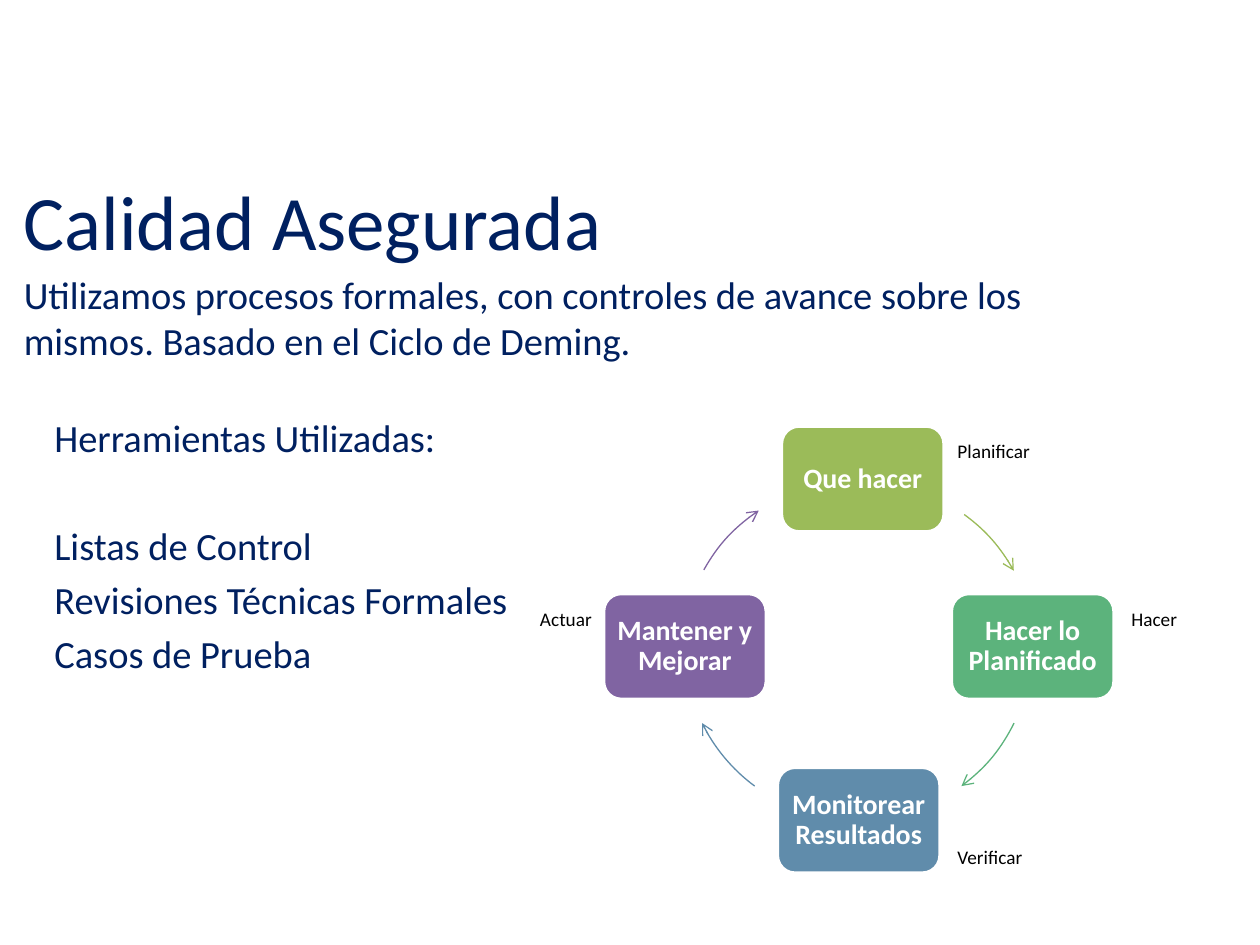
from dataclasses import dataclass

from lxml.etree import SubElement
from pptx import Presentation
from pptx.dml.color import RGBColor
from pptx.enum.shapes import MSO_SHAPE as Preset
from pptx.enum.text import MSO_ANCHOR as Anchor, PP_ALIGN as Align
from pptx.oxml.ns import qn
from pptx.util import Pt

NAVY, BLACK, WHITE = "002060", "000000", "FFFFFF"
NODE_WIDTH, NODE_HEIGHT = 93, 60.5
CIRCLE_SIZE = 198.7
LABEL_WIDTH, LABEL_HEIGHT = 76, 21


@dataclass
class Node:
    text: str
    left: float
    top: float
    color: str


@dataclass
class CycleArrow:
    left: float  # corner of the full circle the arc lies on
    top: float
    start: float  # degrees, clockwise from the right
    end: float
    color: str


@dataclass
class Label:
    text: str
    left: float
    top: float
    align: Align = Align.LEFT


def hex_color(value: str) -> RGBColor:
    return RGBColor.from_string(value)


def format_paragraph(paragraph, size: float, color: str, bold: bool = False) -> None:
    for run in paragraph.runs:
        font = run.font
        font.name, font.size, font.bold = "Calibri", Pt(size), bold
        font.color.rgb = hex_color(color)


def add_text(slide, lines: list[str], left: float, top: float, width: float, height: float,
             size: float, color: str, align: Align = Align.LEFT, anchor: Anchor = Anchor.TOP):
    box = slide.shapes.add_textbox(Pt(left), Pt(top), Pt(width), Pt(height))
    frame = box.text_frame
    frame.word_wrap = True
    frame.vertical_anchor = anchor
    frame.text = "\n".join(lines)
    for paragraph in frame.paragraphs:
        paragraph.alignment = align
        format_paragraph(paragraph, size, color)
    return frame


def add_node(slide, node: Node) -> None:
    shape = slide.shapes.add_shape(Preset.ROUNDED_RECTANGLE, Pt(node.left), Pt(node.top),
                                   Pt(NODE_WIDTH), Pt(NODE_HEIGHT))
    shape.shadow.inherit = False
    shape.fill.solid()
    shape.fill.fore_color.rgb = hex_color(node.color)
    shape.line.color.rgb = hex_color(WHITE)
    shape.line.width = Pt(2)
    frame = shape.text_frame
    frame.word_wrap = True
    frame.vertical_anchor = Anchor.MIDDLE
    frame.margin_left = frame.margin_right = Pt(2)
    frame.text = node.text
    paragraph = frame.paragraphs[0]
    paragraph.alignment = Align.CENTER
    paragraph.line_spacing = 0.9
    format_paragraph(paragraph, 16, WHITE, bold=True)


def add_cycle_arrow(slide, arrow: CycleArrow) -> None:
    arc = slide.shapes.add_shape(Preset.ARC, Pt(arrow.left), Pt(arrow.top),
                                 Pt(CIRCLE_SIZE), Pt(CIRCLE_SIZE))
    arc.shadow.inherit = False
    arc.fill.background()
    # Angles are stored in 1/60000 degree, adjustments in 1/100000
    arc.adjustments[0] = arrow.start * 0.6
    arc.adjustments[1] = arrow.end * 0.6
    arc.line.color.rgb = hex_color(arrow.color)
    arc.line.width = Pt(0.75)
    SubElement(arc.line._get_or_add_ln(), qn("a:tailEnd"), type="arrow")


NODES = [
    Node("Que hacer", 446.5, 243.5, "9BBB59"),
    Node("Hacer lo Planificado", 543.6, 339.2, "5CB37C"),
    Node("Monitorear Resultados", 444.2, 438.5, "608CAB"),
    Node("Mantener y Mejorar", 344.9, 339.2, "8064A2"),
]
ARROWS = [
    CycleArrow(393.1, 275, 306.1, 331, "9BBB59"),
    CycleArrow(391, 270, 26.2, 53.5, "5CB37C"),
    CycleArrow(391, 270, 126.5, 153.8, "608CAB"),
    CycleArrow(389.5, 275, 209.3, 236.2, "8064A2"),
]
LABELS = [
    Label("Planificar", 540, 247.7),
    Label("Hacer", 639.4, 343.4),
    Label("Verificar", 540, 479.5),
    Label("Actuar", 269.3, 343.4, Align.RIGHT),
]
TOOLS = ["Herramientas Utilizadas:", "Listas de Control",
         "Revisiones Técnicas Formales", "Casos de Prueba"]


def main() -> None:
    presentation = Presentation()
    presentation.slide_width, presentation.slide_height = Pt(720), Pt(540)
    slide = presentation.slides.add_slide(presentation.slide_layouts[6])

    # Title and introduction
    add_text(slide, ["Calidad Asegurada"], 6.5, 94.3, 399, 62.6, 44, NAVY, anchor=Anchor.MIDDLE)
    add_text(slide, ["Utilizamos procesos formales, con controles de avance sobre los mismos. "
                     "Basado en el Ciclo de Deming."], 6.5, 151.2, 660, 306, 22, NAVY)

    # Deming cycle
    for node in NODES:
        add_node(slide, node)
    for arrow in ARROWS:
        add_cycle_arrow(slide, arrow)
    for label in LABELS:
        add_text(slide, [label.text], label.left, label.top, LABEL_WIDTH, LABEL_HEIGHT,
                 11, BLACK, label.align)

    # Tools, with a wide gap under the heading
    tools = add_text(slide, TOOLS, 24, 233.3, 283.7, 306, 22, NAVY)
    for paragraph, gap in zip(tools.paragraphs[1:], (35.3, 4.4, 4.4)):
        paragraph.space_before = Pt(gap)

    presentation.save("out.pptx")


if __name__ == "__main__":
    main()
